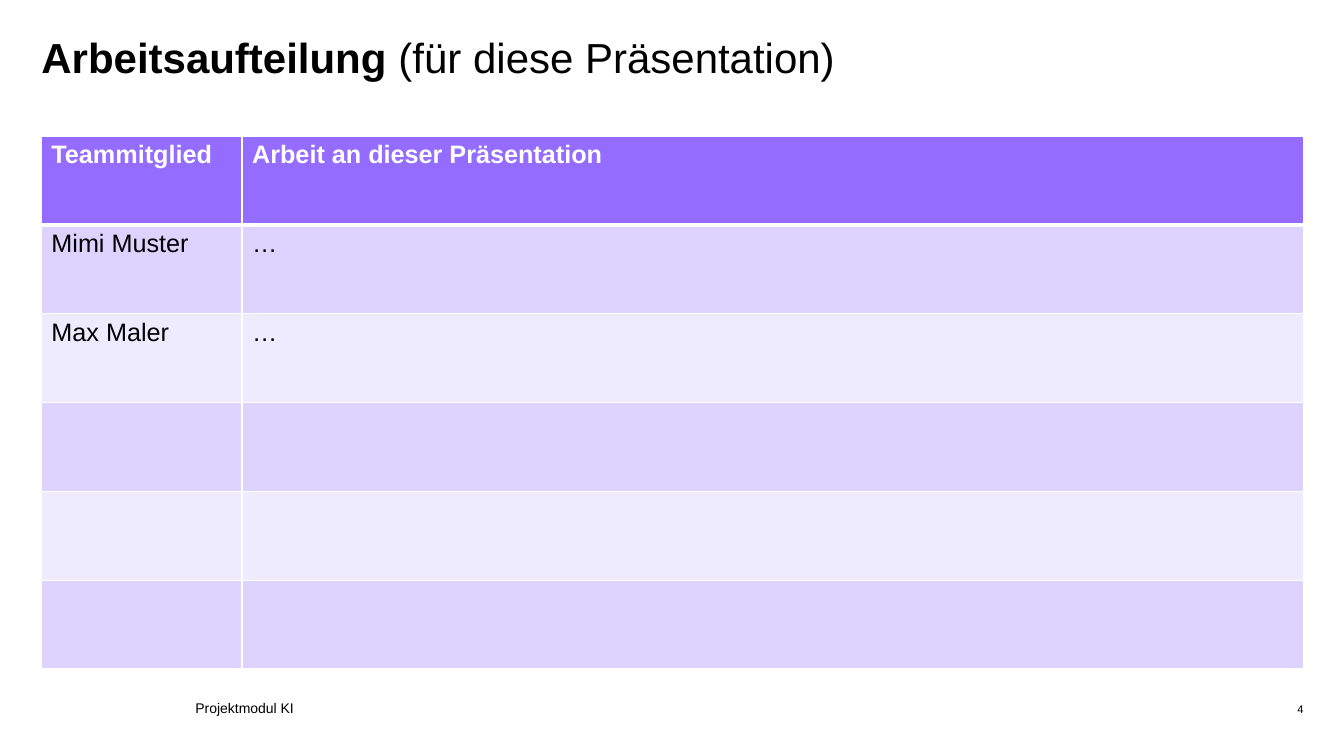
from lxml.etree import SubElement
from pptx import Presentation
from pptx.dml.color import RGBColor
from pptx.enum.text import MSO_ANCHOR as Anchor, MSO_AUTO_SIZE as AutoSize, PP_ALIGN as Align
from pptx.oxml import parse_xml
from pptx.oxml.ns import nsdecls, qn
from pptx.util import Inches, Pt

BLACK = RGBColor(0x00, 0x00, 0x00)
WHITE = RGBColor(0xFF, 0xFF, 0xFF)
VIOLET = RGBColor(0x94, 0x6C, 0xFF)
LILAC = RGBColor(0xDC, 0xD4, 0xFF)
PALE = RGBColor(0xEE, 0xEB, 0xFF)

LEFT, WIDTH = 3.08, 93.92
NAME_WIDTH = 14.93
ROWS = [
    ("Teammitglied", "Arbeit an dieser Präsentation"),
    ("Mimi Muster", "…"),
    ("Max Maler", "…"),
    ("", ""),
    ("", ""),
    ("", ""),
]


class PageBuilder:
    """Draws styled elements on one page, with lengths in percent of its size."""

    font_name = "Arial"

    def __init__(self, deck):
        self.deck = deck
        self.page = deck.slides.add_slide(deck.slide_layouts[5])

    def across(self, share):
        return round(self.deck.slide_width * share / 100)

    def down(self, share):
        return round(self.deck.slide_height * share / 100)

    def area(self, left, top, width, height):
        return self.across(left), self.down(top), self.across(width), self.down(height)

    def style(self, para, size, color=BLACK, align=Align.LEFT):
        para.alignment = align
        para.font.name = self.font_name
        para.font.size = Pt(size)
        para.font.color.rgb = color

    def frame(self, box, anchor, side=0):
        frame = box.text_frame
        frame.auto_size = AutoSize.NONE
        frame.vertical_anchor = anchor
        frame.margin_left = frame.margin_right = Inches(side)
        frame.margin_top = frame.margin_bottom = 0
        return frame

    def title(self, area, strong, plain):
        box = self.page.shapes.title
        box.left, box.top, box.width, box.height = self.area(*area)
        para = self.frame(box, Anchor.TOP).paragraphs[0]
        self.style(para, 30)
        para.line_spacing = 0.9
        for text, bold in ((strong, True), (plain, False)):
            span = para.add_run()
            span.text = text
            span.font.bold = bold

    def label(self, area, text, size, align=Align.LEFT, side=0):
        box = self.page.shapes.add_textbox(*self.area(*area))
        frame = self.frame(box, Anchor.MIDDLE, side)
        frame.word_wrap = True
        frame.text = text
        self.style(frame.paragraphs[0], size, align=align)

    def borders(self, cell, top, bottom):
        properties = cell._tc.get_or_add_tcPr()
        widths = {"lnL": 1, "lnR": 1, "lnT": top, "lnB": bottom}
        for position, (side, width) in enumerate(widths.items()):
            line = parse_xml(f'<a:{side} {nsdecls("a")} w="{Pt(width)}"/>')
            fill = SubElement(line, qn("a:solidFill"))
            SubElement(fill, qn("a:srgbClr"), val=str(WHITE))
            properties.insert(position, line)

    def table(self, area, rows, shares):
        holder = self.page.shapes.add_table(len(rows), len(shares), *self.area(*area))
        table = holder.table
        for column, share in zip(table.columns, shares):
            column.width = self.across(share)
        for row_index, texts in enumerate(rows):
            header = row_index == 0
            fill = VIOLET if header else (PALE, LILAC)[row_index % 2]
            for column_index, text in enumerate(texts):
                cell = table.cell(row_index, column_index)
                cell.text = text
                cell.fill.solid()
                cell.fill.fore_color.rgb = fill
                para = cell.text_frame.paragraphs[0]
                self.style(para, 18, WHITE if header else BLACK)
                para.font.bold = header
                self.borders(cell, 3 if row_index == 1 else 1, 3 if header else 1)


def main():
    deck = Presentation()
    deck.slide_width, deck.slide_height = Inches(13.33), Inches(7.5)
    builder = PageBuilder(deck)
    builder.title((LEFT, 4.93, WIDTH, 13.07), "Arbeitsaufteilung ", "(für diese Präsentation)")
    builder.table((LEFT, 18, WIDTH, 70.5), ROWS, (NAME_WIDTH, WIDTH - NAME_WIDTH))
    builder.label((13.8, 92, 32.25, 3.33), "Projektmodul KI", 10, side=0.1)
    builder.label((86.5, 92.13, 10.5, 3.2), "4", 8, Align.RIGHT)
    deck.save("out.pptx")


if __name__ == "__main__":
    main()
